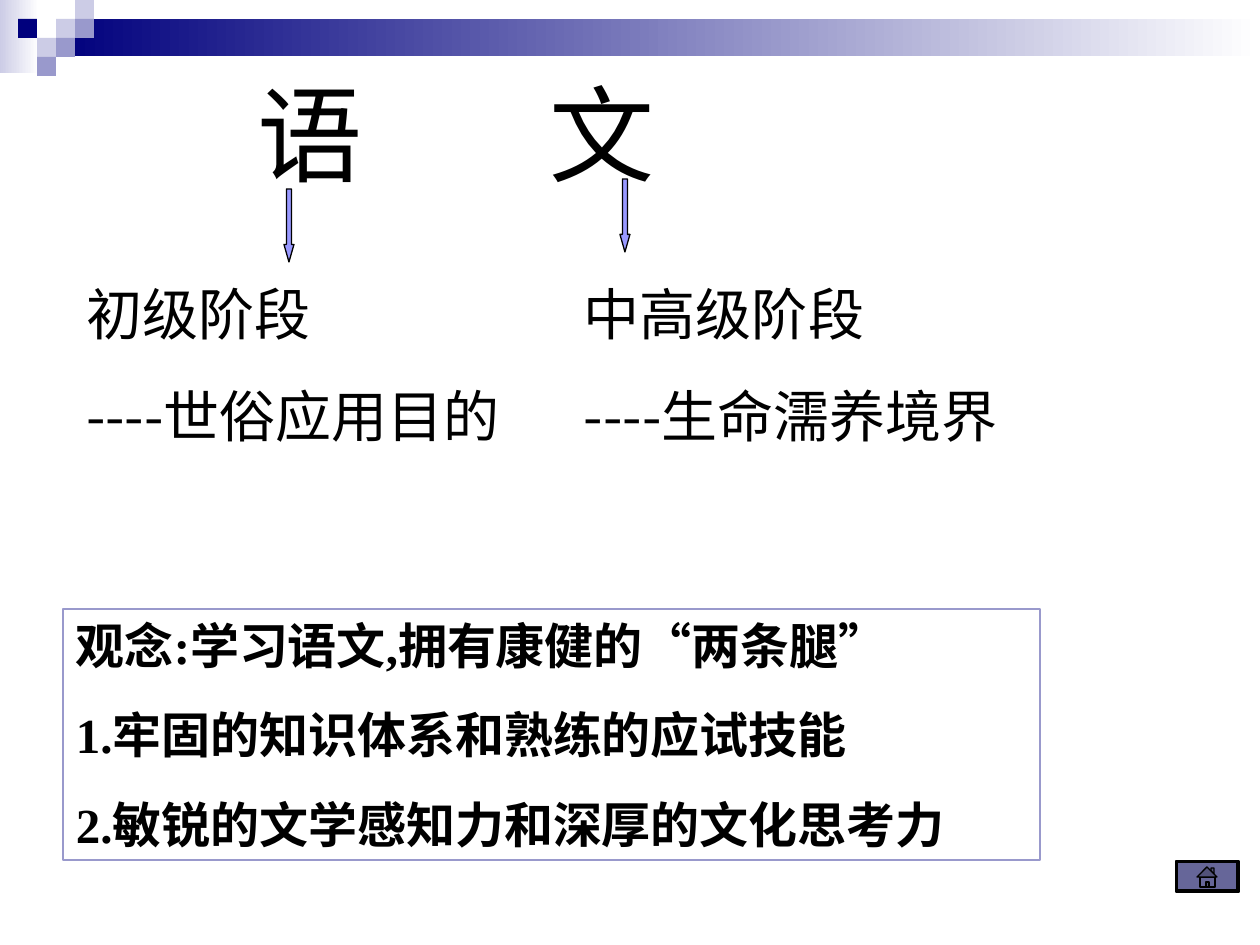
from lxml.etree import SubElement
from pptx import Presentation
from pptx.dml.color import RGBColor
from pptx.enum.shapes import MSO_SHAPE
from pptx.enum.text import MSO_ANCHOR, PP_ALIGN
from pptx.oxml.ns import qn
from pptx.util import Emu, Pt

PX = 914400 // 126
BLACK = RGBColor(0x00, 0x00, 0x00)
WHITE = RGBColor(0xFF, 0xFF, 0xFF)
NAVY = RGBColor(0x00, 0x00, 0x7D)
PALE = RGBColor(0xCC, 0xCC, 0xE6)
LILAC = RGBColor(0x99, 0x99, 0xCC)
ARROW = RGBColor(0x99, 0x99, 0xFF)
BUTTON = RGBColor(0x66, 0x66, 0x99)
ROOF = RGBColor(0x52, 0x52, 0x7A)
SERIF = "Times New Roman"
SANS = "Noto Sans CJK SC"


def px(n):
    return Emu(n * PX)


class Board:
    def __init__(self, s):
        self.s = s

    def style(self, sp, fill=None, line=None):
        sp.shadow.inherit = False
        if fill is None:
            sp.fill.background()
        else:
            sp.fill.solid()
            sp.fill.fore_color.rgb = fill
        if line is None:
            sp.line.fill.background()
        else:
            sp.line.color.rgb = line
            sp.line.width = Pt(0.75)
        return sp

    def shape(self, kind, box, fill=None, line=None):
        sp = self.s.shapes.add_shape(kind, *map(px, box))
        return self.style(sp, fill, line)

    def gradient(self, box, start):
        sp = self.shape(MSO_SHAPE.RECTANGLE, box)
        sp.fill.gradient()
        sp.fill.gradient_angle = 0
        for stop, color in zip(sp.fill.gradient_stops, (start, WHITE)):
            stop.color.rgb = color

    def outline(self, points, fill):
        fb = self.s.shapes.build_freeform(*points[0], scale=PX)
        fb.add_line_segments(points[1:], close=True)
        self.style(fb.convert_to_shape(), fill, BLACK)

    def text(self, box, lines, size, font, gap=0, bold=False, line=None, indent=13, tab=None):
        if line is None:
            sp = self.s.shapes.add_textbox(*map(px, box))
        else:
            sp = self.shape(MSO_SHAPE.RECTANGLE, box, line=line)
        tf = sp.text_frame
        tf.word_wrap = True
        tf.vertical_anchor = MSO_ANCHOR.TOP
        tf.margin_left = px(indent)
        for i, words in enumerate(lines):
            p = tf.paragraphs[0] if i == 0 else tf.add_paragraph()
            p.alignment = PP_ALIGN.LEFT
            p.space_before = Pt(gap if i else 0)
            if tab:
                tabs = SubElement(p._p.get_or_add_pPr(), qn("a:tabLst"))
                SubElement(tabs, qn("a:tab"), pos=str(px(tab)), algn="l")
            r = p.add_run()
            r.text = words
            r.font.size = Pt(size)
            r.font.bold = bold
            r.font.name = font
            r.font.color.rgb = BLACK
            SubElement(r._r.get_or_add_rPr(), qn("a:ea"), typeface=SANS)


def main():
    prs = Presentation()
    prs.slide_width, prs.slide_height = px(1260), px(945)
    board = Board(prs.slides.add_slide(prs.slide_layouts[6]))

    # Header band and its checker of squares
    board.gradient((0, 0, 39, 73), PALE)
    board.gradient((57, 19, 1203, 37), NAVY)
    step = 19
    squares = [(3, 1, PALE), (4, 0, PALE), (4, 1, LILAC), (2, 2, PALE),
               (1, 1, NAVY), (3, 2, LILAC), (2, 3, LILAC)]
    for col, row, color in squares:
        board.shape(MSO_SHAPE.RECTANGLE, (col * step - 1, row * step, step, step), color)

    # Title, its two characters set apart by a tab stop
    board.text((158, 63, 598, 139), ["语\t文"], 60, SERIF, indent=99, tab=293)

    # The two stages with their arrows
    stages = [
        (73, 496, ["初级阶段", "----世俗应用目的"], 284, 189),
        (571, 486, ["中高级阶段", "----生命濡养境界"], 620, 179),
    ]
    for left, width, lines, arrow_x, arrow_y in stages:
        board.text((left, 273, width, 249), lines, 32, SANS, gap=20)
        sp = board.shape(MSO_SHAPE.DOWN_ARROW, (arrow_x, arrow_y, 10, 73), ARROW, BLACK)
        sp.adjustments[1] = 1.75

    # Framed idea
    board.text((63, 609, 977, 251),
               ["观念:学习语文,拥有康健的“两条腿”",
                "1.牢固的知识体系和熟练的应试技能",
                "2.敏锐的文学感知力和深厚的文化思考力"],
               28, SERIF, gap=17.5, bold=True, line=LILAC)

    # Home button: bevel, chimney, wall, roof, door
    sp = board.shape(MSO_SHAPE.BEVEL, (1176, 861, 63, 31), BUTTON, BLACK)
    sp.adjustments[0] = 0.06
    board.outline([(1211, 871), (1211, 868), (1214, 868), (1214, 874)], ROOF)
    board.outline([(1200, 877), (1215, 877), (1215, 887), (1200, 887)], BUTTON)
    board.outline([(1207, 867), (1217, 877), (1197, 877)], ROOF)
    board.outline([(1206, 882), (1209, 882), (1209, 887), (1206, 887)], ROOF)

    prs.save("out.pptx")


if __name__ == "__main__":
    main()
